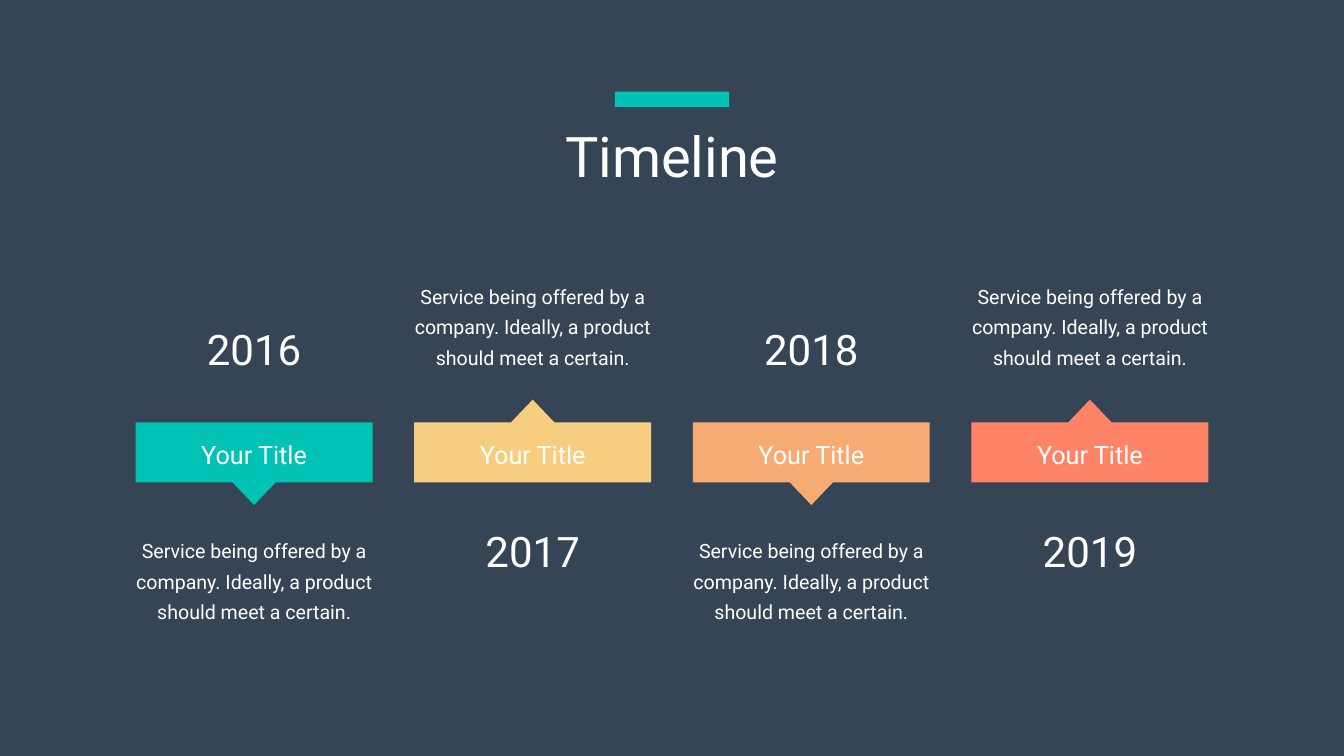
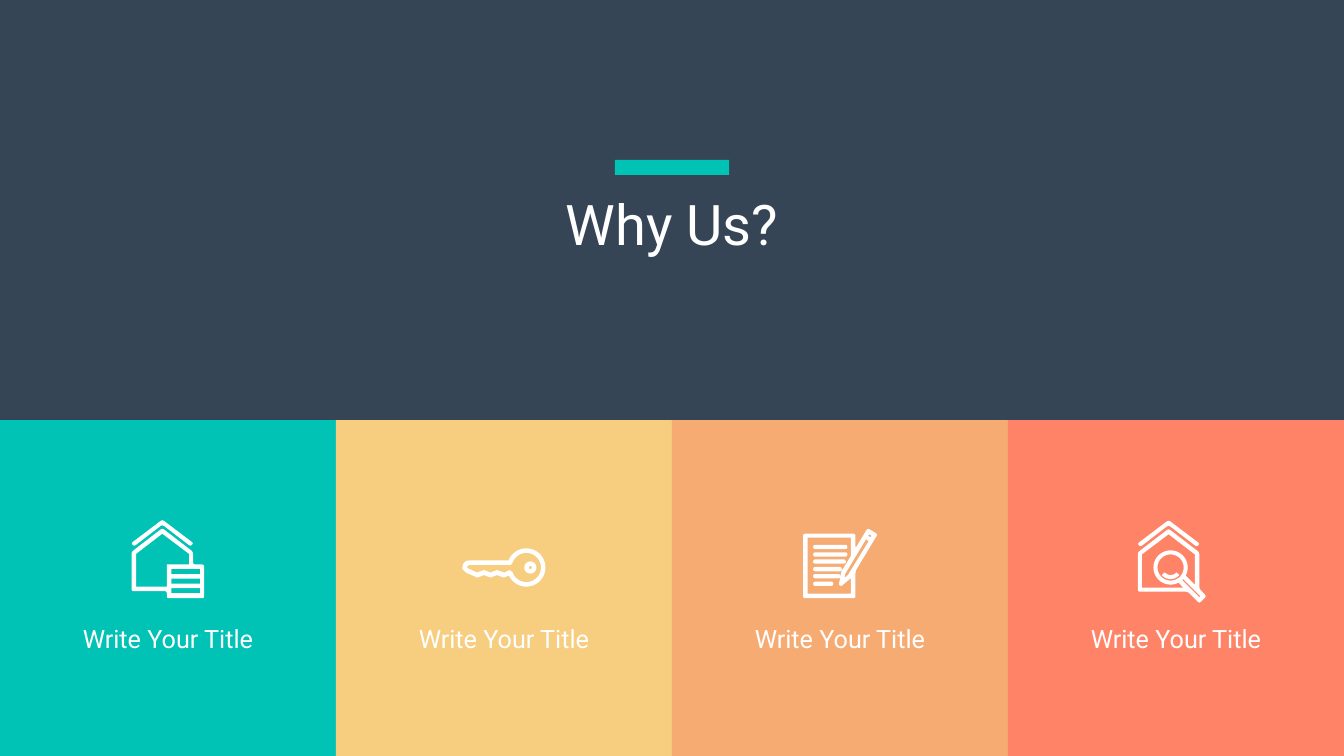
"""Build a timeline slide and a reasons slide that share one look."""
from math import cos, dist, radians, sin
from typing import NamedTuple

from pptx import Presentation
from pptx import util as u
from pptx.dml import color
from pptx.enum import shapes, text

COLORS = {"navy": "364556", "teal": "00C2B5", "sand": "F7CD7F",
          "peach": "F6AB72", "coral": "FF8467", "white": "FFFFFF"}
HUES = ("teal", "sand", "peach", "coral")
WIDE, HIGH = 26.66, 15.0
CENTER = WIDE / 2
MARGIN, BAR = 2.69, 4.7
PITCH = (WIDE - 2 * MARGIN - BAR) / (len(HUES) - 1)
TILE = WIDE / len(HUES)
SPLIT = HIGH - TILE
BLURB = "Service being offered by a company. Ideally, a product should meet a certain."

Point = tuple[float, float]
Loop = list[Point]


class Place(NamedTuple):
    """A box set by its middle line, top edge and size in inches."""
    mid: float
    top: float
    wide: float
    high: float


class Style(NamedTuple):
    """Text format values for fonts, paragraphs and frames."""
    font: dict
    para: dict
    frame: dict


class Event(NamedTuple):
    """One step of the timeline."""
    year: str
    hue: str
    down: bool


class Glyph(NamedTuple):
    """One icon part whose inner loops cut holes."""
    loops: list[Loop]


def style(size: float, wrap: bool = True, inset: tuple = (0.1, 0.05), **para) -> Style:
    """Return the shared text look at a given size."""
    side, edge = map(u.Inches, inset)
    return Style({"size": u.Pt(size), "name": "Roboto", "bold": False},
                 {"alignment": text.PP_ALIGN.CENTER, "space_before": u.Pt(0), **para},
                 {"word_wrap": wrap, "vertical_anchor": text.MSO_ANCHOR.TOP,
                  "margin_left": side, "margin_right": side,
                  "margin_top": edge, "margin_bottom": edge,
                  "auto_size": text.MSO_AUTO_SIZE.SHAPE_TO_FIT_TEXT})


HEAD = style(80)
YEAR = style(60, wrap=False)
LABEL = style(36, wrap=False)
CAPTION = style(36)
BODY = style(28, inset=(0.24, 0.12), line_spacing=u.Pt(43))


def rgb(name: str) -> color.RGBColor:
    """Look up a named colour."""
    return color.RGBColor.from_string(COLORS[name])


def apply(target, values: dict) -> None:
    """Set each format value on an object."""
    for key, value in values.items():
        setattr(target, key, value)


def spot(place: Place) -> list:
    """Turn a place into left, top, width and height."""
    left = place.mid - place.wide / 2
    return [u.Inches(n) for n in (left, place.top, place.wide, place.high)]


def paint(shape, hue: str) -> None:
    """Give a shape a flat fill with no line or shadow."""
    shape.fill.solid()
    shape.fill.fore_color.rgb = rgb(hue)
    shape.line.fill.background()
    shape.shadow.inherit = False


def block(slide, place: Place, hue: str, kind=shapes.MSO_SHAPE.RECTANGLE, turn: int = 0):
    """Draw one flat preset shape."""
    shape = slide.shapes.add_shape(kind, *spot(place))
    shape.rotation = turn
    paint(shape, hue)
    return shape


def fill_text(shape, words: str, look: Style) -> None:
    """Write and format the single paragraph of a shape."""
    frame = shape.text_frame
    frame.text = words
    para = frame.paragraphs[0]
    font = para.runs[0].font
    apply(frame, look.frame)
    apply(para, look.para)
    apply(font, look.font)
    font.color.rgb = rgb("white")


def write(slide, place: Place, words: str, look: Style) -> None:
    """Add a text box."""
    fill_text(slide.shapes.add_textbox(*spot(place)), words, look)


def start(deck, words: str, top: float, depth: float):
    """Add a slide with its navy ground, accent bar and title."""
    slide = deck.slides.add_slide(deck.slide_layouts[5])
    title = slide.shapes.title
    ground = block(slide, Place(CENTER, 0, WIDE, depth), "navy")
    title.element.addprevious(ground.element)
    apply(title, dict(zip(("left", "top", "width", "height"),
                          spot(Place(CENTER, top + 0.54, 5.36, 1.45)))))
    fill_text(title, words, HEAD)
    block(slide, Place(CENTER, top, 2.27, 0.3), "teal")
    return slide


def arc(x: float, y: float, size: float, first: float, last: float) -> Loop:
    """Return points along an arc, in degrees."""
    turns = [radians(first + (last - first) * n / 36) for n in range(37)]
    return [(x + size * cos(t), y + size * sin(t)) for t in turns]


def disc(x: float, y: float, size: float) -> Loop:
    """Return a full circle."""
    return arc(x, y, size, 0, 360)


def pane(left: float, top: float, right: float, base: float) -> Loop:
    """Return a box outline."""
    return [(left, top), (right, top), (right, base), (left, base)]


def blend(a: Point, b: Point, part: float) -> Point:
    """Return the point a given part of the way from a to b."""
    return a[0] + (b[0] - a[0]) * part, a[1] + (b[1] - a[1]) * part


def soft(loop: Loop, size: float = 0.04) -> Loop:
    """Round the corners of a loop."""
    out = []
    for a, b, c in zip(loop[-1:] + loop[:-1], loop, loop[1:] + loop[:1]):
        p, q = (blend(b, n, min(0.5, size / dist(b, n))) for n in (a, c))
        out += [p, blend(b, blend(p, q, 0.5), 0.5), q]
    return out


def roof(mid: float, top: float) -> Glyph:
    """Return the loose roof line above a house."""
    half = [(0.62, 0.47), (0.56, 0.53), (0, 0.1)]
    pts = [(0, 0)] + half + [(-x, y) for x, y in half[1::-1]]
    return Glyph([soft([(mid + x, top + y) for x, y in pts])])


def stripe(top: float, right: float = 16.81) -> Loop:
    """Return one round-ended line of writing."""
    return soft(pane(16.13, top, right, top + 0.085))


def icons() -> list[Glyph]:
    """Return the parts of all four icons."""
    home = Glyph([
        soft([(3.83, 11.2), (4.05, 11.2), (4.05, 11.87), (3.31, 11.87), (3.31, 11.73),
              (2.61, 11.73), (2.61, 10.95), (3.22, 10.48), (3.83, 10.95)]),
        [(2.7, 10.99), (3.22, 10.59), (3.75, 10.99), (3.75, 11.2), (3.31, 11.2),
         (3.31, 11.64), (2.7, 11.64)],
        *(pane(3.4, top, 3.97, top + 0.1) for top in (11.29, 11.48, 11.67))])
    key = Glyph([
        arc(10.44, 11.26, 0.38, -158, 155)
        + [(9.99, 11.46), (9.86, 11.41), (9.73, 11.46), (9.6, 11.41), (9.47, 11.46),
           (9.24, 11.36), (9.17, 11.29), (9.18, 11.2), (9.24, 11.13), (9.31, 11.12)],
        arc(10.44, 11.26, 0.29, -162, 162)
        + [(10.11, 11.31), (10, 11.36), (9.86, 11.31), (9.73, 11.36), (9.6, 11.31),
           (9.46, 11.36), (9.27, 11.27), (9.27, 11.23), (9.31, 11.21), (10.13, 11.21)]])
    eye = Glyph([disc(10.52, 11.26, 0.12), disc(10.52, 11.26, 0.03)])
    note = Glyph([
        soft([(15.93, 10.59), (16.97, 10.59), (16.97, 10.88), (17.21, 10.48),
              (17.41, 10.6), (16.97, 11.33), (16.97, 11.87), (15.93, 11.87)]),
        [(16.02, 11.78), (16.02, 10.67), (16.88, 10.67), (16.88, 11.03), (16.69, 11.34),
         (16.64, 11.6), (16.69, 11.63), (16.88, 11.47), (16.88, 11.78)],
        [(17.27, 10.66), (17.22, 10.63), (17.24, 10.6), (17.29, 10.63)],
        [(16.82, 11.41), (16.75, 11.47), (16.77, 11.38), (17.18, 10.7), (17.23, 10.74)],
        stripe(11.1, 16.78), stripe(11.25, 16.7), stripe(11.39, 16.67)])
    search = Glyph([
        soft([(22.57, 10.96), (23.18, 10.49), (23.79, 10.96), (23.79, 11.68),
              (23.93, 11.83), (23.79, 11.97), (23.56, 11.74), (22.57, 11.74)]),
        [(22.65, 11), (23.18, 10.6), (23.7, 11), (23.7, 11.6)]
        + arc(23.22, 11.26, 0.34, 28, -298) + [(23.47, 11.66), (22.65, 11.66)],
        disc(23.22, 11.26, 0.26),
        [(23.45, 11.51), (23.47, 11.49), (23.81, 11.83), (23.79, 11.85)]])
    smile = Glyph([soft(arc(23.22, 11.26, 0.23, 40, 140)
                        + arc(23.22, 11.26, 0.15, 140, 40))])
    lines = [Glyph([stripe(10.81)]), Glyph([stripe(10.96)]), Glyph([stripe(11.54, 16.53)])]
    return [home, roof(3.22, 10.31), *lines, note, roof(23.18, 10.32), search, smile, key, eye]


def draw(slide, glyph: Glyph) -> None:
    """Draw an icon part as one white freeform."""
    loops = [[(u.Inches(x), u.Inches(y)) for x, y in loop] for loop in glyph.loops]
    pen = slide.shapes.build_freeform(*loops[0][0], scale=1.0)
    for spot_no, loop in enumerate(loops):
        if spot_no:
            pen.move_to(*loop[0])
        pen.add_line_segments(loop[1:], close=True)
    paint(pen.convert_to_shape(), "white")


def add_event(slide, mid: float, event: Event) -> None:
    """Draw one timeline step with its pointer, year and blurb."""
    tip, turn, year, body = (9.05, 180, 6.36, 10.45) if event.down else (7.93, 0, 10.37, 5.41)
    block(slide, Place(mid, 8.38, BAR, 1.19), event.hue)
    block(slide, Place(mid, tip, 1.85, 0.97), event.hue,
          shapes.MSO_SHAPE.ISOSCELES_TRIANGLE, turn)
    write(slide, Place(mid, body, 5.22, 1.98), BLURB, BODY)
    write(slide, Place(mid, year, 2.1, 1.11), event.year, YEAR)
    write(slide, Place(mid, 8.66, 2.35, 0.71), "Your Title", LABEL)


def timeline(deck) -> None:
    """Build the timeline slide."""
    slide = start(deck, "Timeline", 1.82, HIGH)
    for n, hue in enumerate(HUES):
        add_event(slide, MARGIN + BAR / 2 + n * PITCH, Event(str(2016 + n), hue, n % 2 == 0))


def reasons(deck) -> None:
    """Build the slide of four coloured tiles."""
    slide = start(deck, "Why Us?", 3.17, SPLIT)
    for n, hue in enumerate(HUES):
        mid = (n + 0.5) * TILE
        block(slide, Place(mid, SPLIT, TILE, TILE), hue)
        write(slide, Place(mid, 12.31, 3.97, 0.71), "Write Your Title", CAPTION)
    for glyph in icons():
        draw(slide, glyph)


def main() -> None:
    """Build and save the deck."""
    deck = Presentation()
    deck.slide_width, deck.slide_height = u.Inches(WIDE), u.Inches(HIGH)
    timeline(deck)
    reasons(deck)
    deck.save("out.pptx")


if __name__ == "__main__":
    main()
